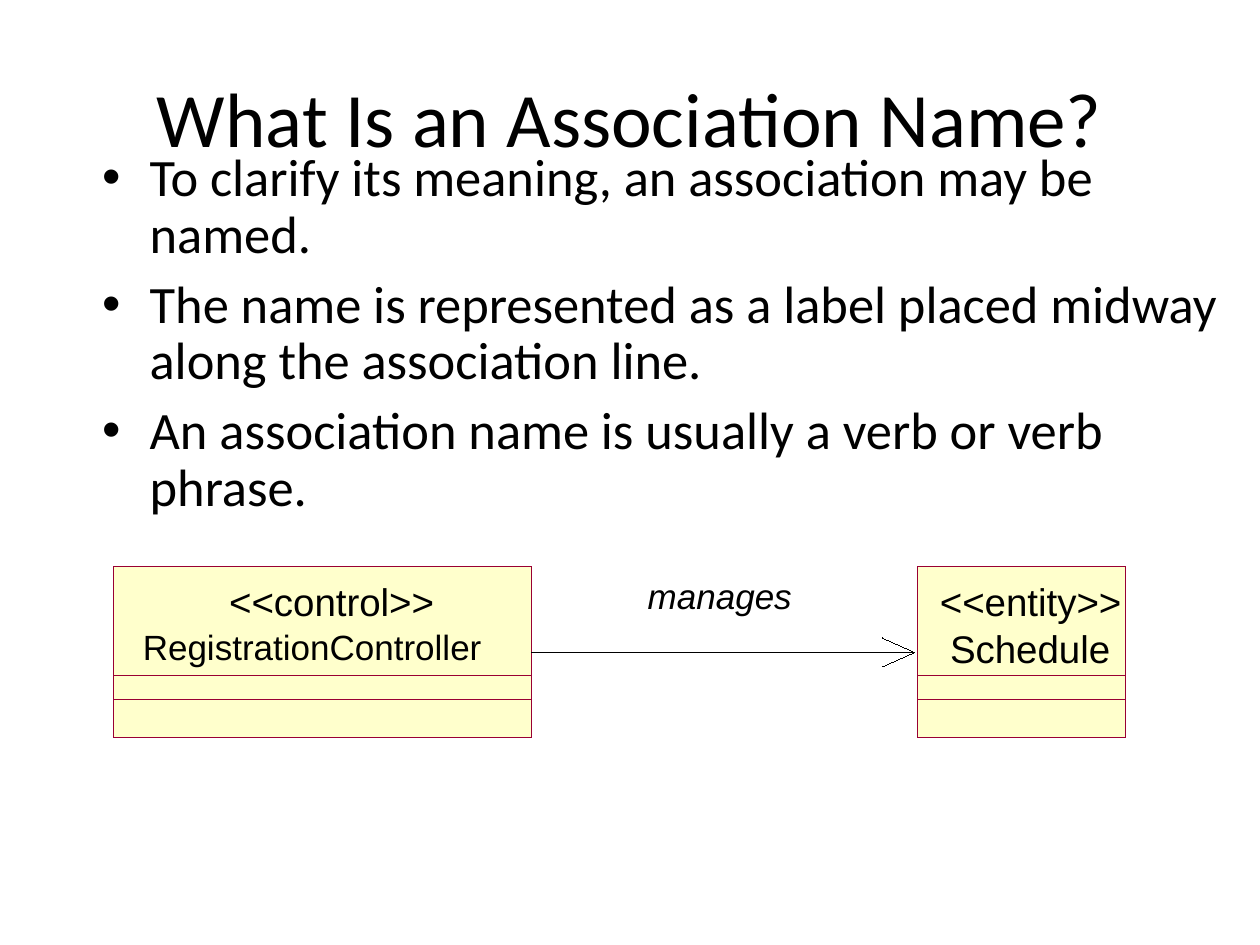
from dataclasses import dataclass

from lxml import etree
from pptx import Presentation
from pptx.dml import color
from pptx.enum import shapes, text
from pptx.oxml import ns
from pptx.util import Pt

BLACK = color.RGBColor(0x00, 0x00, 0x00)
CREAM = color.RGBColor(0xFF, 0xFF, 0xCC)
WINE = color.RGBColor(0x99, 0x00, 0x33)

TITLE = "What Is an Association Name?"
POINTS = [
    "To clarify its meaning, an association may be named.",
    "The name is represented as a label placed midway along the association line.",
    "An association name is usually a verb or verb phrase.",
]
BOX_TOP, BOX_END = 323.5, 421.4
CELL_TOPS = [386, 399.6]
AXIS = 372.8
TIP, BARB = 522.7, 504
SLACK = 8  # spare label width, so that no word breaks


@dataclass
class Label:
    words: str
    left: float
    top: float
    width: float
    size: float = 22
    slant: bool = False


@dataclass
class ClassBox:
    left: float
    width: float
    kind: Label
    name: Label


BOXES = [
    ClassBox(524.2, 118.8, Label("<<entity>>", 537.1, 330.5, 103.7),
             Label("Schedule", 542.9, 357.1, 91.4)),
    ClassBox(64.8, 239, Label("<<control>>", 131, 330.5, 117.4),
             Label("RegistrationController", 81.6, 357.4, 193.7, 20)),
]
VERB = Label("manages", 370.1, 328.3, 82.8, 20, True)


def write(para, words: str, *, face: str = "Arial", size: float = 22,
          slant: bool = False, align=text.PP_ALIGN.LEFT) -> None:
    para.alignment = align
    run = para.add_run()
    run.text = words
    font = run.font
    font.name, font.size, font.italic = face, Pt(size), slant
    font.color.rgb = BLACK


def place(shape, left: float, top: float, width: float, height: float) -> None:
    shape.left, shape.top = Pt(left), Pt(top)
    shape.width, shape.height = Pt(width), Pt(height)


def hairline(shape, tint: color.RGBColor) -> None:
    """Give the thinnest line; a zero width must be written out in the XML."""
    shape.line.color.rgb = tint
    shape._element.spPr.get_or_add_ln().set("w", "0")


def add_label(slide, label: Label) -> None:
    box = slide.shapes.add_textbox(Pt(label.left), Pt(label.top),
                                   Pt(label.width + SLACK), Pt(label.size * 1.2))
    frame = box.text_frame
    frame.margin_left = frame.margin_right = 0
    frame.margin_top = frame.margin_bottom = 0
    frame.word_wrap = True
    frame.auto_size = text.MSO_AUTO_SIZE.NONE
    write(frame.paragraphs[0], label.words, size=label.size, slant=label.slant)


def add_rect(slide, left: float, top: float, width: float, fill=None) -> None:
    """Draw a rectangle from top down to the foot of the class boxes."""
    rect = slide.shapes.add_shape(shapes.MSO_SHAPE.RECTANGLE, Pt(left), Pt(top),
                                  Pt(width), Pt(BOX_END - top))
    rect.shadow.inherit = False
    if fill is None:
        rect.fill.background()
    else:
        rect.fill.solid()
        rect.fill.fore_color.rgb = fill
    hairline(rect, WINE)


def add_class(slide, box: ClassBox) -> None:
    add_rect(slide, box.left, BOX_TOP, box.width, CREAM)
    for top in CELL_TOPS:
        add_rect(slide, box.left, top, box.width)
    add_label(slide, box.kind)
    add_label(slide, box.name)


def add_line(slide, x1: float, y1: float, x2: float, y2: float) -> None:
    line = slide.shapes.add_connector(shapes.MSO_CONNECTOR.STRAIGHT,
                                      Pt(x1), Pt(y1), Pt(x2), Pt(y2))
    hairline(line, BLACK)
    etree.SubElement(line._element.spPr, ns.qn("a:effectLst"))


def add_arrow(slide) -> None:
    """Draw the association line with its open head."""
    add_line(slide, 414, AXIS, 303.8, AXIS)
    pen = slide.shapes.build_freeform(Pt(414), Pt(AXIS))
    pen.add_line_segments([(Pt(TIP), Pt(AXIS)), (Pt(BARB), Pt(AXIS + 8.3))],
                          close=False)
    half = pen.convert_to_shape()
    half.shadow.inherit = False
    half.fill.background()
    hairline(half, BLACK)
    add_line(slide, TIP, AXIS, BARB, AXIS - 8.3)


def fill_title(shape) -> None:
    place(shape, 36, 21.6, 648, 90)
    frame = shape.text_frame
    frame.vertical_anchor = text.MSO_ANCHOR.MIDDLE
    write(frame.paragraphs[0], TITLE, face="Calibri", size=44,
          align=text.PP_ALIGN.CENTER)


def fill_body(shape) -> None:
    place(shape, 51.3, 82.8, 668.2, 223.2)
    frame = shape.text_frame
    frame.auto_size = text.MSO_AUTO_SIZE.NONE
    for i, point in enumerate(POINTS):
        para = frame.add_paragraph() if i else frame.paragraphs[0]
        props = para._p.get_or_add_pPr()
        props.set("marL", str(Pt(27)))
        props.set("indent", str(-Pt(27)))
        etree.SubElement(props, ns.qn("a:buFont")).set("typeface", "Arial")
        etree.SubElement(props, ns.qn("a:buChar")).set("char", "•")
        para.line_spacing = 0.9
        para.space_before = Pt(7.5 if i else 0)
        write(para, point, face="Calibri", size=30)


def main() -> None:
    deck = Presentation()
    deck.slide_width, deck.slide_height = Pt(720), Pt(540)
    slide = deck.slides.add_slide(deck.slide_layouts[1])
    fill_title(slide.shapes.title)
    fill_body(slide.placeholders[1])
    for box in BOXES:
        add_class(slide, box)
    add_arrow(slide)
    add_label(slide, VERB)
    deck.save("out.pptx")


if __name__ == "__main__":
    main()
